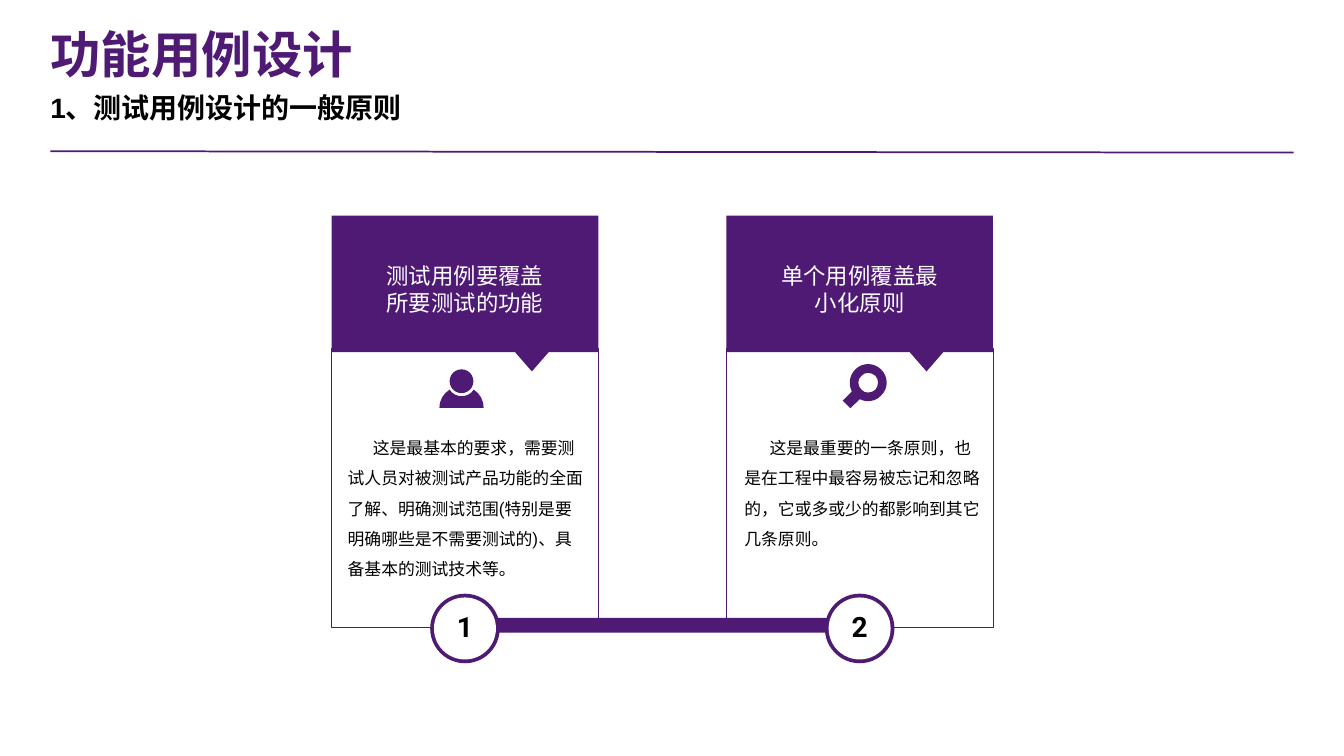
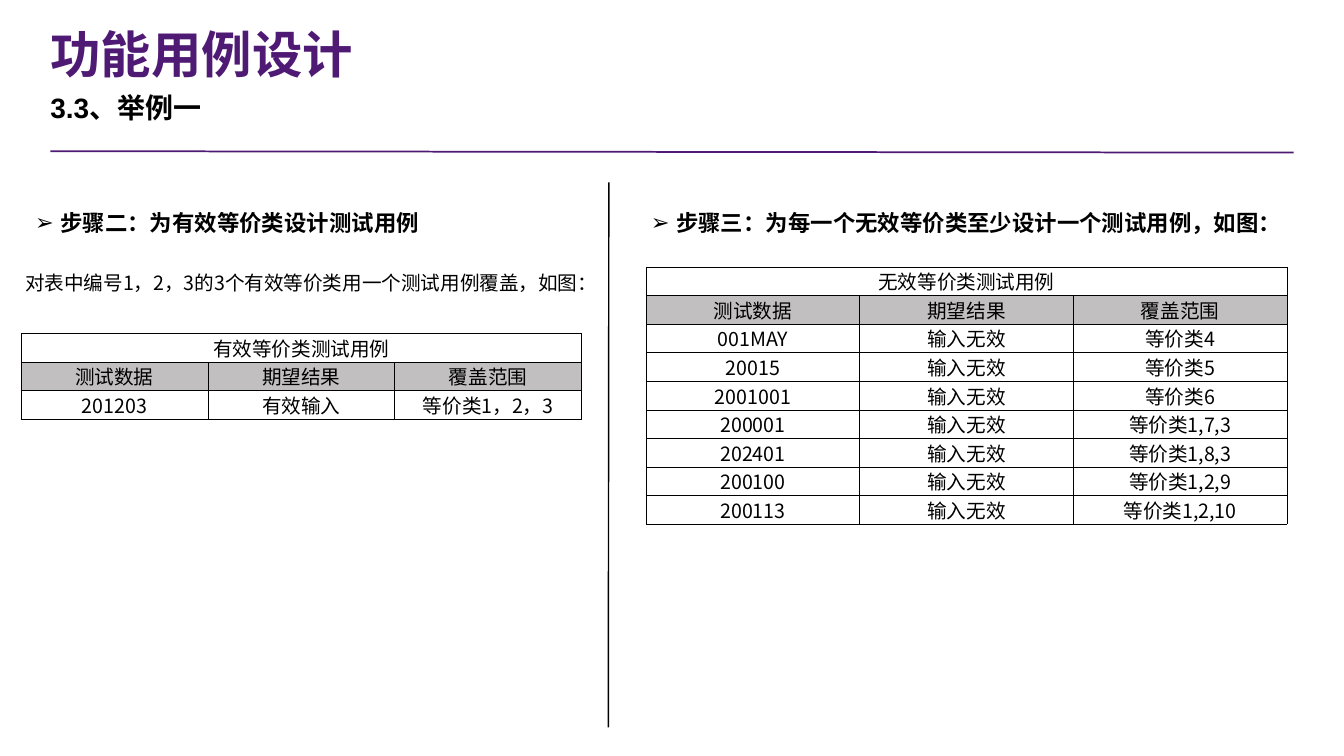
from lxml.etree import SubElement
from pptx import Presentation
from pptx.dml.color import RGBColor
from pptx.enum.shapes import MSO_CONNECTOR, MSO_SHAPE
from pptx.enum.text import MSO_ANCHOR, MSO_AUTO_SIZE, PP_ALIGN
from pptx.oxml import parse_xml
from pptx.oxml.ns import nsdecls, qn
from pptx.util import Pt

PURPLE, BLACK, WHITE, GREY = "4F1A74", "000000", "FFFFFF", "C1BFBF"
CJK, LATIN, BODY = "Noto Sans CJK SC", "Arial", "Roboto"
TITLE = "功能用例设计"
COLUMNS = ["测试数据", "期望结果", "覆盖范围"]
CARD_W, CARD_STEP = 380.9, 563.8

CARDS = [
    ("测试用例要覆盖所要测试的功能", 15.8,
     "这是最基本的要求，需要测试人员对被测试产品功能的全面了解、明确测试范围"
     "(特别是要明确哪些是不需要测试的)、具备基本的测试技术等。"),
    ("单个用例覆盖最小化原则", 18.7,
     "这是最重要的一条原则，也是在工程中最容易被忘记和忽略的，"
     "它或多或少的都影响到其它几条原则。"),
]
INVALID = [("001MAY", "4"), ("20015", "5"), ("2001001", "6"), ("200001", "1,7,3"),
           ("202401", "1,8,3"), ("200100", "1,2,9"), ("200113", "1,2,10")]

SHOULDERS = [(49, 0), (45.4, 5.8), (38.9, 9.4), (31.7, 9.4), (24.5, 9.4), (18, 5.8),
             (14.4, 0), (5.8, 5.8), (0, 14.4), (0, 26), *[(63, 26)] * 3,
             (63, 14.4), (57.6, 5.8), (49, 0)]
LENS_RIM = [(54.7, 10.1), (44.6, 0), (28.1, 0), (18, 10.1), (9.4, 18.7), (7.9, 31),
            (13, 41.8), *[(0, 54.7)] * 3, *[(10.8, 65.5)] * 3, *[(24.5, 52.6)] * 3,
            (33.8, 57.6), (46.8, 56.2), (54.7, 47.5), (65.5, 37.4), (65.5, 20.9),
            (54.7, 10.1)]
LENS_HOLE = [(46.8, 38.9), (43.9, 41.8), (40.3, 43.2), (36, 43.2), (32.4, 43.2),
             (28.8, 41.8), (26.6, 38.9), (23.8, 36.7), (22.3, 32.4), (22.3, 28.8),
             (22.3, 25.2), (23.8, 21.6), (26.6, 19.4), (28.8, 16.6), (32.4, 15.1),
             (36, 15.1), (40.3, 15.1), (43.9, 16.6), (46.8, 19.4), (49, 21.6),
             (50.4, 25.2), (50.4, 28.8), (50.4, 32.4), (49, 36.7), (46.8, 38.9)]


def rgb(value):
    return RGBColor.from_string(value)


def write(tf, text, size, font, color=BLACK, bold=False, align=PP_ALIGN.LEFT,
          spacing=None, bullet=None, margin=0, indent=0):
    tf.text = text
    p = tf.paragraphs[0]
    pPr = p._p.get_or_add_pPr()
    pPr.set("marL", str(Pt(margin)))
    pPr.set("indent", str(Pt(indent)))
    if bullet:
        SubElement(pPr, qn("a:buFont"), typeface=LATIN)
        SubElement(pPr, qn("a:buChar"), char=bullet)
    else:
        SubElement(pPr, qn("a:buNone"))
    p.alignment = align
    p.space_before = Pt(0)
    if spacing:
        p.line_spacing = spacing
    for r in p.runs:
        r.font.size, r.font.bold, r.font.name = Pt(size), bold, font
        r.font.color.rgb = rgb(color)
        SubElement(r._r.get_or_add_rPr(), qn("a:ea"), typeface=CJK)


def frame(sp, inset=None, anchor=MSO_ANCHOR.TOP):
    tf = sp.text_frame
    tf.word_wrap = True
    tf.auto_size = MSO_AUTO_SIZE.NONE
    tf.vertical_anchor = anchor
    if inset is not None:
        tf.margin_left = tf.margin_right = tf.margin_top = tf.margin_bottom = Pt(inset)
    return tf


def textbox(s, x, y, w, h, inset=None, anchor=MSO_ANCHOR.TOP):
    return frame(s.shapes.add_textbox(Pt(x), Pt(y), Pt(w), Pt(h)), inset, anchor)


def paint(sp, fill, line=None):
    sp.shadow.inherit = False
    sp.fill.solid()
    sp.fill.fore_color.rgb = rgb(fill)
    if line:
        sp.line.color.rgb = rgb(line)
        sp.line.width = Pt(1.13)
    else:
        sp.line.fill.background()


def shape(s, kind, x, y, w, h, fill, line=None):
    paint(s.shapes.add_shape(kind, Pt(x), Pt(y), Pt(w), Pt(h)), fill, line)


def disc(s, cx, cy, d, fill):
    shape(s, MSO_SHAPE.OVAL, cx - d / 2, cy - d / 2, d, d, fill)


def outline(s, x, y, *contours):
    placed = [[(Pt(x + px), Pt(y + py)) for px, py in c] for c in contours]
    fb = s.shapes.build_freeform(*placed[0][0], scale=1.0)
    fb.add_line_segments(placed[0][1:], close=True)
    for c in placed[1:]:
        fb.move_to(*c[0])
        fb.add_line_segments(c[1:], close=True)
    sp = fb.convert_to_shape()
    paint(sp, PURPLE)
    return sp


def curved_outline(s, x, y, *contours):
    sp = outline(s, x, y, *contours)
    segments = list(sp._element.iter(qn("a:lnTo")))
    for first, second, third in zip(segments[::3], segments[1::3], segments[2::3]):
        curve = first.getparent().makeelement(qn("a:cubicBezTo"))
        first.addprevious(curve)
        for segment in (first, second, third):
            curve.append(segment[0])
            segment.getparent().remove(segment)


def line(s, x1, y1, x2, y2, color, width):
    c = s.shapes.add_connector(MSO_CONNECTOR.STRAIGHT, Pt(x1), Pt(y1), Pt(x2), Pt(y2))
    c.line.color.rgb = rgb(color)
    c.line.width = Pt(width)
    SubElement(c._element.spPr, qn("a:effectLst"))


def header(s, subtitle):
    line(s, 72, 216, 1848, 218, PURPLE, 2.5)
    title, body = s.shapes.title, s.placeholders[1]
    for sp, y, h in ((title, 24, 95.7), (body, 120, 72)):
        sp.left, sp.top, sp.width, sp.height = Pt(72), Pt(y), Pt(1776), Pt(h)
    write(frame(title, 0, MSO_ANCHOR.BOTTOM), TITLE, 72, LATIN, PURPLE, True)
    write(frame(body, 0), subtitle, 40, LATIN, bold=True, spacing=1.2)


def person_icon(s, x, y):
    disc(s, x + 31.5, y - 12, 34, PURPLE)
    curved_outline(s, x, y, SHOULDERS)


def magnifier_icon(s, x, y):
    curved_outline(s, x, y, LENS_RIM, LENS_HOLE)


def card(s, x, y, heading, text_dx, text, icon, icon_dx, icon_dy):
    shape(s, MSO_SHAPE.RECTANGLE, x, y + 190, CARD_W, 398.2, WHITE, PURPLE)
    outline(s, x, y, [(0, 0), (0, 195), (262, 195), (286, 222.5), (310, 195),
                      (CARD_W, 195), (CARD_W, 0)])
    write(textbox(s, x + text_dx, y + 299.5, 353, 263), text, 24, BODY,
          spacing=1.5, indent=36)
    write(textbox(s, x + 62, y + 62.3, 257, 85), heading, 32, CJK, WHITE,
          align=PP_ALIGN.CENTER)
    icon(s, x + icon_dx, y + icon_dy)


def timeline(s, x, y, count):
    shape(s, MSO_SHAPE.RECTANGLE, x, y, CARD_STEP * (count - 1), 20.9, PURPLE)
    for i in range(count):
        cx = x + i * CARD_STEP
        disc(s, cx, y + 15.1, 99.4, PURPLE)
        disc(s, cx, y + 15.1, 88.6, WHITE)
        write(textbox(s, cx - 24, y - 15.8, 48, 55), str(i + 1), 40, BODY,
              bold=True, align=PP_ALIGN.CENTER)


def principles_slide(s):
    x, y = 473.8, 308.1
    icons = [(person_icon, 154, 248.5), (magnifier_icon, 166.3, 209.5)]
    for i, (content, icon) in enumerate(zip(CARDS, icons)):
        card(s, x + i * CARD_STEP, y, *content, *icon)
    timeline(s, x + CARD_W / 2, 882.7, len(CARDS))
    header(s, "1、测试用例设计的一般原则")


def step_heading(s, x, y, w, text):
    write(textbox(s, x, y, w, 50, 6, MSO_ANCHOR.MIDDLE), text, 32, CJK, bold=True,
          align=PP_ALIGN.CENTER, bullet="➢", margin=36, indent=-36)


def style_cell(cell, text, fill=None):
    cell.margin_top = cell.margin_bottom = Pt(0)
    if fill:
        cell.fill.solid()
        cell.fill.fore_color.rgb = rgb(fill)
    else:
        cell.fill.background()
    tcPr = cell._tc.get_or_add_tcPr()
    for i, side in enumerate("LRTB"):
        tcPr.insert(i, parse_xml(
            f'<a:ln{side} {nsdecls("a")} w="{Pt(1)}"><a:solidFill>'
            f'<a:srgbClr val="{BLACK}"/></a:solidFill></a:ln{side}>'))
    if text:
        write(cell.text_frame, text, 28, CJK, align=PP_ALIGN.CENTER)


def case_table(s, x, y, w, caption, cases):
    rows = [[caption, "", ""], COLUMNS, *cases]
    row_h = 40.8
    table = s.shapes.add_table(len(rows), len(COLUMNS), Pt(x), Pt(y), Pt(w),
                               Pt(row_h * len(rows))).table
    table.first_row = table.horz_banding = False
    for col in table.columns:
        col.width = Pt(w / len(COLUMNS))
    for i, values in enumerate(rows):
        table.rows[i].height = Pt(row_h)
        for j, text in enumerate(values):
            style_cell(table.cell(i, j), text, GREY if i == 1 else None)
    table.cell(0, 0).merge(table.cell(0, len(COLUMNS) - 1))


def example_slide(s):
    header(s, "3.3、举例一")
    step_heading(s, 30, 293, 589, "步骤二：为有效等价类设计测试用例")
    write(textbox(s, 30, 381.5, 836, 45, 6, MSO_ANCHOR.MIDDLE),
          "对表中编号1，2，3的3个有效等价类用一个测试用例覆盖，如图：", 28, CJK)
    case_table(s, 30, 476.6, 800.8, "有效等价类测试用例",
               [["201203", "有效输入", "等价类1，2，3"]])
    step_heading(s, 919.5, 293, 922, "步骤三：为每一个无效等价类至少设计一个测试用例，如图：")
    case_table(s, 923, 381.6, 915.5, "无效等价类测试用例",
               [[data, "输入无效", "等价类" + classes] for data, classes in INVALID])
    line(s, 869.8, 260.6, 869, 1039, BLACK, 2)


def main():
    prs = Presentation()
    prs.slide_width, prs.slide_height = Pt(1920), Pt(1080)
    for build in (principles_slide, example_slide):
        build(prs.slides.add_slide(prs.slide_layouts[1]))
    prs.save("out.pptx")


if __name__ == "__main__":
    main()
